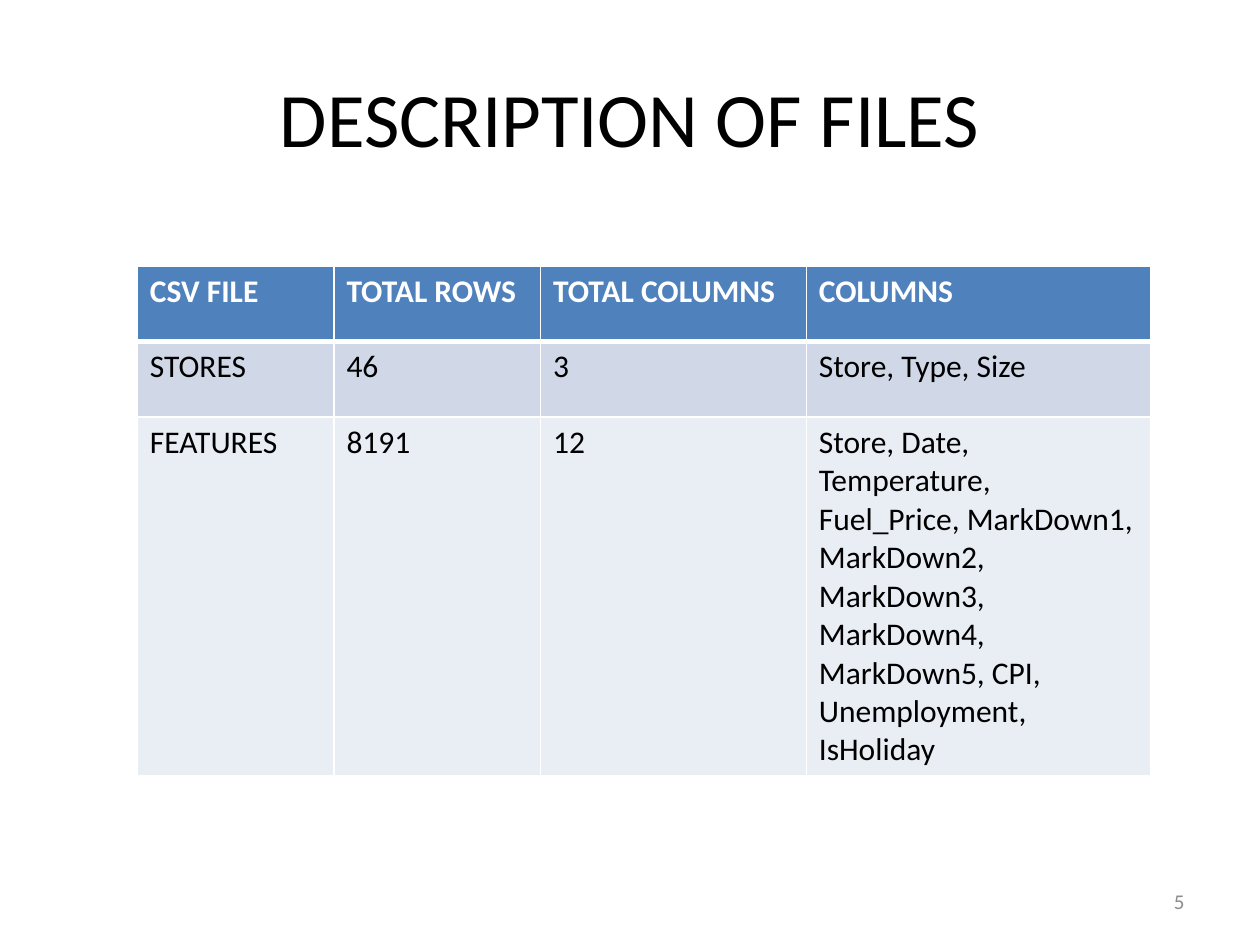
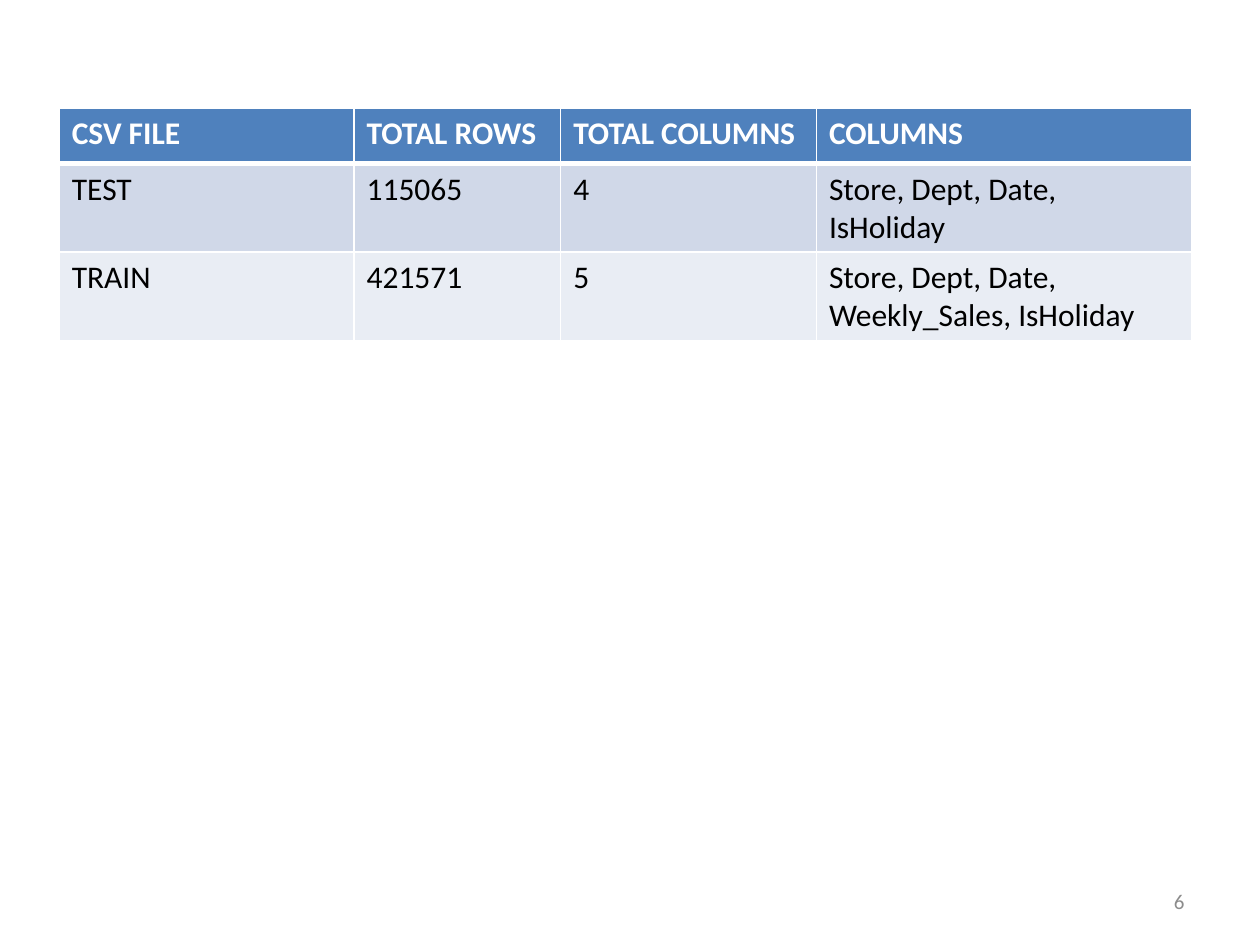
from dataclasses import dataclass

from lxml.etree import SubElement
from pptx import Presentation
from pptx.dml.color import RGBColor
from pptx.enum.text import MSO_ANCHOR, PP_ALIGN
from pptx.oxml.ns import qn
from pptx.slide import Slide
from pptx.table import _Cell
from pptx.text.text import TextFrame
from pptx.util import Inches, Pt

# Shared look
FONT = "Calibri"
COLORS = {
    "head": "4F81BD",
    "odd": "D0D8E8",
    "even": "E9EDF4",
    "white": "FFFFFF",
    "black": "000000",
    "gray": "8C8C8C",
}
HEADS = ("CSV FILE", "TOTAL ROWS", "TOTAL COLUMNS", "COLUMNS")
THIN, THICK = 1, 3


@dataclass(frozen=True)
class Page:
    number: int
    left: float
    top: float
    widths: tuple[float, ...]
    heights: tuple[float, ...]
    files: tuple[tuple[str, ...], ...]
    title: str = ""


PAGES = (
    Page(5, 1.09, 2.11, (1.56, 1.64, 2.11, 2.73), (0.6, 0.6, 0.6), (
        ("STORES", "46", "3", "Store, Type, Size"),
        ("FEATURES", "8191", "12",
         "Store, Date, Temperature, Fuel_Price, MarkDown1, MarkDown2, "
         "MarkDown3, MarkDown4, MarkDown5, CPI, Unemployment, IsHoliday"),
    ), "DESCRIPTION OF FILES"),
    Page(6, 0.47, 0.86, (2.34, 1.64, 2.03, 2.98), (0.44, 0.58, 0.44), (
        ("TEST", "115065", "4", "Store, Dept, Date, IsHoliday"),
        ("TRAIN", "421571", "5", "Store, Dept, Date, Weekly_Sales, IsHoliday"),
    )),
)


def write(frame: TextFrame, text: str, size: int, color: str,
          align: PP_ALIGN = PP_ALIGN.LEFT, bold: bool = False) -> None:
    para = frame.paragraphs[0]
    para.alignment = align
    run = para.add_run()
    run.text = text
    run.font.name = FONT
    run.font.size = Pt(size)
    run.font.bold = bold
    run.font.color.rgb = RGBColor.from_string(COLORS[color])


def edge(cell: _Cell, row: int) -> None:
    """Draw white cell borders, with a thick rule under the heading."""
    props = cell._tc.get_or_add_tcPr()
    sides = {"L": THIN, "R": THIN,
             "T": THICK if row == 1 else THIN,
             "B": THICK if row == 0 else THIN}
    for side, width in sides.items():
        line = SubElement(props, qn(f"a:ln{side}"), w=str(Pt(width)))
        fill = SubElement(line, qn("a:solidFill"))
        SubElement(fill, qn("a:srgbClr"), val=COLORS["white"])


def add_title(slide: Slide, text: str) -> None:
    title = slide.shapes.title
    title.left, title.top = Inches(0.5), Inches(0.3)
    title.width, title.height = Inches(9), Inches(1.25)
    title.text_frame.vertical_anchor = MSO_ANCHOR.MIDDLE
    write(title.text_frame, text, 44, "black", PP_ALIGN.CENTER)


def add_files(slide: Slide, page: Page) -> None:
    rows = (HEADS, *page.files)
    table = slide.shapes.add_table(
        len(rows), len(HEADS), Inches(page.left), Inches(page.top),
        Inches(sum(page.widths)), Inches(sum(page.heights))).table
    for col, width in zip(table.columns, page.widths):
        col.width = Inches(width)
    for i, (texts, height) in enumerate(zip(rows, page.heights)):
        table.rows[i].height = Inches(height)
        head = i == 0
        fill = "head" if head else "odd" if i % 2 else "even"
        for j, text in enumerate(texts):
            cell = table.cell(i, j)
            edge(cell, i)
            cell.fill.solid()
            cell.fill.fore_color.rgb = RGBColor.from_string(COLORS[fill])
            write(cell.text_frame, text, 18,
                  "white" if head else "black", bold=head)


def add_number(slide: Slide, number: int) -> None:
    box = slide.shapes.add_textbox(
        Inches(7.17), Inches(6.95), Inches(2.33), Inches(0.4))
    frame = box.text_frame
    frame.word_wrap = True
    frame.vertical_anchor = MSO_ANCHOR.MIDDLE
    write(frame, str(number), 12, "gray", PP_ALIGN.RIGHT)


def main() -> None:
    deck = Presentation()
    deck.slide_width, deck.slide_height = Inches(10), Inches(7.5)
    for page in PAGES:
        name = "Title Only" if page.title else "Blank"
        slide = deck.slides.add_slide(deck.slide_layouts.get_by_name(name))
        if page.title:
            add_title(slide, page.title)
        add_files(slide, page)
        add_number(slide, page.number)
    deck.save("out.pptx")


if __name__ == "__main__":
    main()
